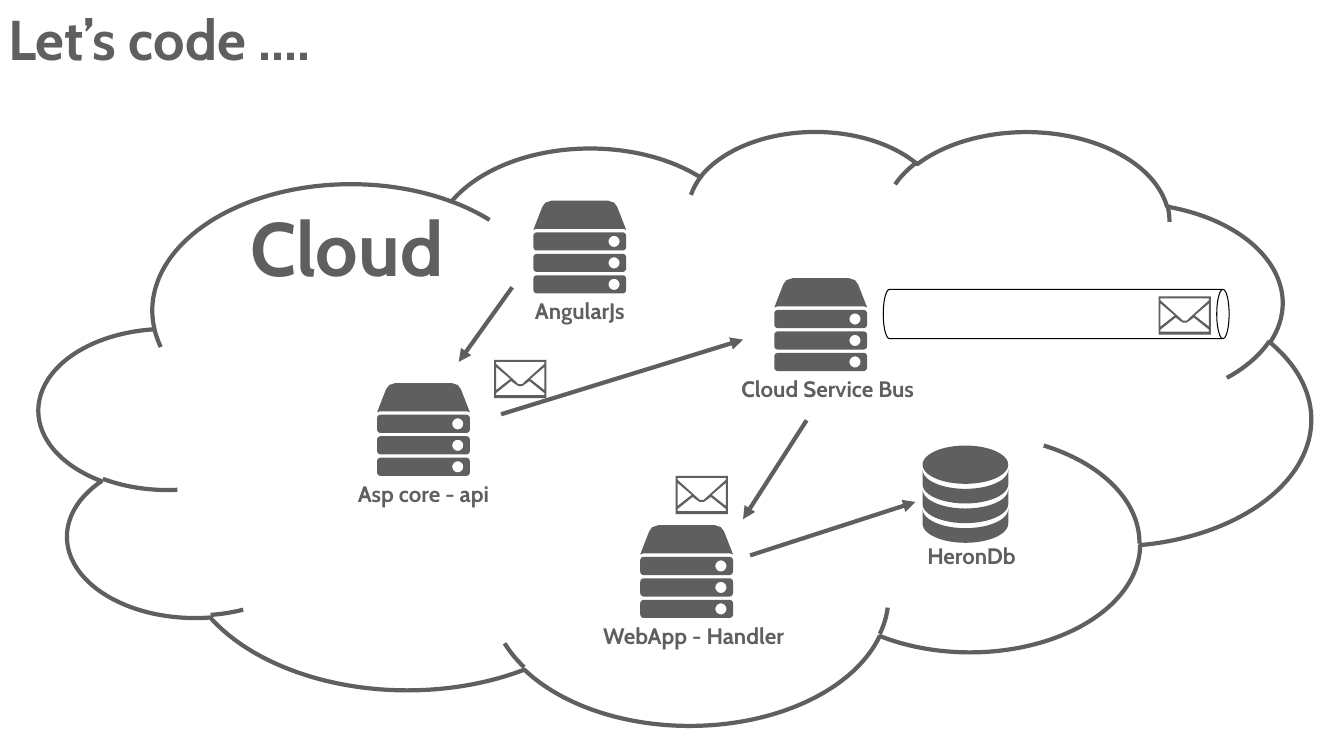
from math import cos, sin, radians
from lxml import etree
from pptx import Presentation
from pptx.dml.color import RGBColor
from pptx.enum.shapes import MSO_CONNECTOR, MSO_SHAPE
from pptx.enum.text import MSO_AUTO_SIZE, PP_ALIGN
from pptx.oxml.ns import qn
from pptx.util import Inches, Pt

LEFT, CENTER = PP_ALIGN.LEFT, PP_ALIGN.CENTER
STRAIGHT = MSO_CONNECTOR.STRAIGHT
CLOUD, CAN = MSO_SHAPE.CLOUD, MSO_SHAPE.CAN

THEME = {"font": "Cabin", "ink": RGBColor(0x5F, 0x5F, 0x5F),
         "paper": RGBColor(255, 255, 255), "outline": RGBColor(0, 0, 0),
         "title": 40, "cloud": 54, "label": 16, "stroke": 3, "hairline": 0.75}

# Content: text, left, top, width, height, size, alignment
HEADINGS = [("Let’s code ....", 0, 0, 3.52, 0.75, "title", LEFT),
            ("Cloud", 2.33, 1.95, 2.22, 0.99, "cloud", CENTER)]
# Label, icon left, icon top, label shift from the icon's centre, label width
SERVERS = [("AngularJs", 5.29, 1.99, 0, 1.2),
           ("Asp core - api", 3.74, 3.8, 0, 1.61),
           ("Cloud Service Bus", 7.68, 2.76, 0.07, 2.03),
           ("WebApp - Handler", 6.35, 5.21, 0.07, 2.13)]
DATABASE = ("HeronDb", 9.15, 4.42, 0.06, 1.11)
ARROWS = [((5.08, 2.85), (4.55, 3.59)), ((4.97, 4.11), (7.37, 3.37)),
          ((8, 4.17), (7.37, 5.15)), ((7.44, 5.51), (9.08, 4.98))]
MESSAGES = [(4.9, 3.57), (6.7, 4.72), (11.49, 2.94)]
CLOUD_BOX = (0.39, 1.29, 12.61, 5.89)
QUEUE_BOX = (10.23, 1.4, 0.49, 3.43)

# Icon sizes in inches
SERVER_SIZE, BAR_HEIGHT, BAR_PITCH = 0.92, 0.18, 0.213
DB_WIDTH, DB_RY, BAND_HEIGHT, BAND_PITCH = 0.85, 0.19, 0.145, 0.195
MAIL_WIDTH, MAIL_HEIGHT = 0.52, 0.38
LABEL_HEIGHT = 0.35


def arc(cx, cy, rx, ry, start, end, steps=16):
    angles = [radians(start + (end - start) * i / steps) for i in range(steps + 1)]
    return [(cx + rx * cos(a), cy + ry * sin(a)) for a in angles]


def round_bar(top, width, height, r=0.035):
    corners = [(width - r, top + r, 270), (width - r, top + height - r, 0),
               (r, top + height - r, 90), (r, top + r, 180)]
    return [pt for x, y, a in corners for pt in arc(x, y, r, r, a, a + 90, 5)]


def server_outlines():
    half = [(0.03, 0.28), (0, 0.29), (0.07, 0.11), (0.09, 0.06), (0.12, 0.02), (0.18, 0)]
    outlines = [half + [(SERVER_SIZE - x, y) for x, y in reversed(half)]]
    for i in range(3):
        top = 0.315 + i * BAR_PITCH
        outlines += [round_bar(top, SERVER_SIZE, BAR_HEIGHT),
                     arc(0.8, top + BAR_HEIGHT / 2, 0.055, 0.055, 360, 0, 24)]
    return outlines


def database_outlines():
    rx = DB_WIDTH / 2
    outlines = [arc(rx, DB_RY, rx, DB_RY, 0, 360, 48)]
    for i in range(3):
        top = 0.24 + i * BAND_PITCH
        outlines.append(arc(rx, top, rx, DB_RY, 0, 180, 24)
                        + arc(rx, top + BAND_HEIGHT, rx, DB_RY, 180, 0, 24))
    return outlines


def mail_outlines():
    w, h = MAIL_WIDTH, MAIL_HEIGHT
    side = [(0.02, 0.07), (0.16, 0.19), (0.02, 0.3)]
    flap = [(0.02, 0.02), (0.02, 0.04), (0.22, 0.22), (0.24, 0.24)]
    front = [(0.02, 0.35), (0.02, 0.33), (0.17, 0.21), (0.21, 0.24), (0.24, 0.26)]

    def mirror(points):
        return [(w - x, y) for x, y in reversed(points)]
    return [[(0, 0), (0, h), (w, h), (w, 0)], side, mirror(side),
            flap + mirror(flap), front + mirror(front)]


prs = Presentation()
prs.slide_width, prs.slide_height = Inches(13.33), Inches(7.5)
slide = prs.slides.add_slide(prs.slide_layouts[6])
shapes = slide.shapes


def add_text(text, x, y, w, h, size, align):
    tf = shapes.add_textbox(*map(Inches, (x, y, w, h))).text_frame
    margins = {"margin_left": 0.08, "margin_right": 0.08,
               "margin_top": 0.04, "margin_bottom": 0.04}
    for name, value in margins.items():
        setattr(tf, name, Inches(value))
    tf.word_wrap, tf.auto_size = False, MSO_AUTO_SIZE.SHAPE_TO_FIT_TEXT
    p = tf.paragraphs[0]
    p.alignment = align
    r = p.add_run()
    r.text = text
    for name, value in {"name": THEME["font"], "size": Pt(THEME[size]), "bold": True}.items():
        setattr(r.font, name, value)
    r.font.color.rgb = THEME["ink"]


def add_icon(outlines, x, y):
    placed = [[(Inches(x + px), Inches(y + py)) for px, py in o] for o in outlines]
    fb = shapes.build_freeform(*placed[0][0], scale=1.0)
    for i, points in enumerate(placed):
        if i:
            fb.move_to(*points[0])
        fb.add_line_segments(points[1:], close=True)
    sp = fb.convert_to_shape()
    sp.shadow.inherit = False
    sp.fill.solid()
    sp.fill.fore_color.rgb = THEME["ink"]
    sp.line.fill.background()


def add_preset(kind, box, fill, color, width):
    sp = shapes.add_shape(kind, *map(Inches, box))
    sp.shadow.inherit = False
    if fill is None:
        sp.fill.background()
    else:
        sp.fill.solid()
        sp.fill.fore_color.rgb = fill
    sp.line.color.rgb, sp.line.width = color, Pt(width)
    return sp


def add_arrow(start, end):
    line = shapes.add_connector(STRAIGHT, *map(Inches, start + end))
    line.line.color.rgb, line.line.width = THEME["ink"], Pt(THEME["stroke"])
    etree.SubElement(line.line._get_or_add_ln(), qn("a:tailEnd"), type="triangle")
    etree.SubElement(line._element.spPr, qn("a:effectLst"))


def add_node(node, outlines, width, label_drop):
    text, x, y, shift, label_width = node
    add_icon(outlines, x, y)
    add_text(text, x + width / 2 + shift - label_width / 2, y + label_drop,
             label_width, LABEL_HEIGHT, "label", CENTER)


# Cloud and headings
add_preset(CLOUD, CLOUD_BOX, THEME["paper"], THEME["ink"], THEME["stroke"])
for heading in HEADINGS:
    add_text(*heading)

# Servers and database with their labels
for server in SERVERS:
    add_node(server, server_outlines(), SERVER_SIZE, SERVER_SIZE)
add_node(DATABASE, database_outlines(), DB_WIDTH, SERVER_SIZE)

# Message flow
for arrow in ARROWS:
    add_arrow(*arrow)
for message in MESSAGES:
    add_icon(mail_outlines(), *message)

# Queue pipe
queue = add_preset(CAN, QUEUE_BOX, None, THEME["outline"], THEME["hairline"])
queue.rotation = 90

prs.save("out.pptx")
